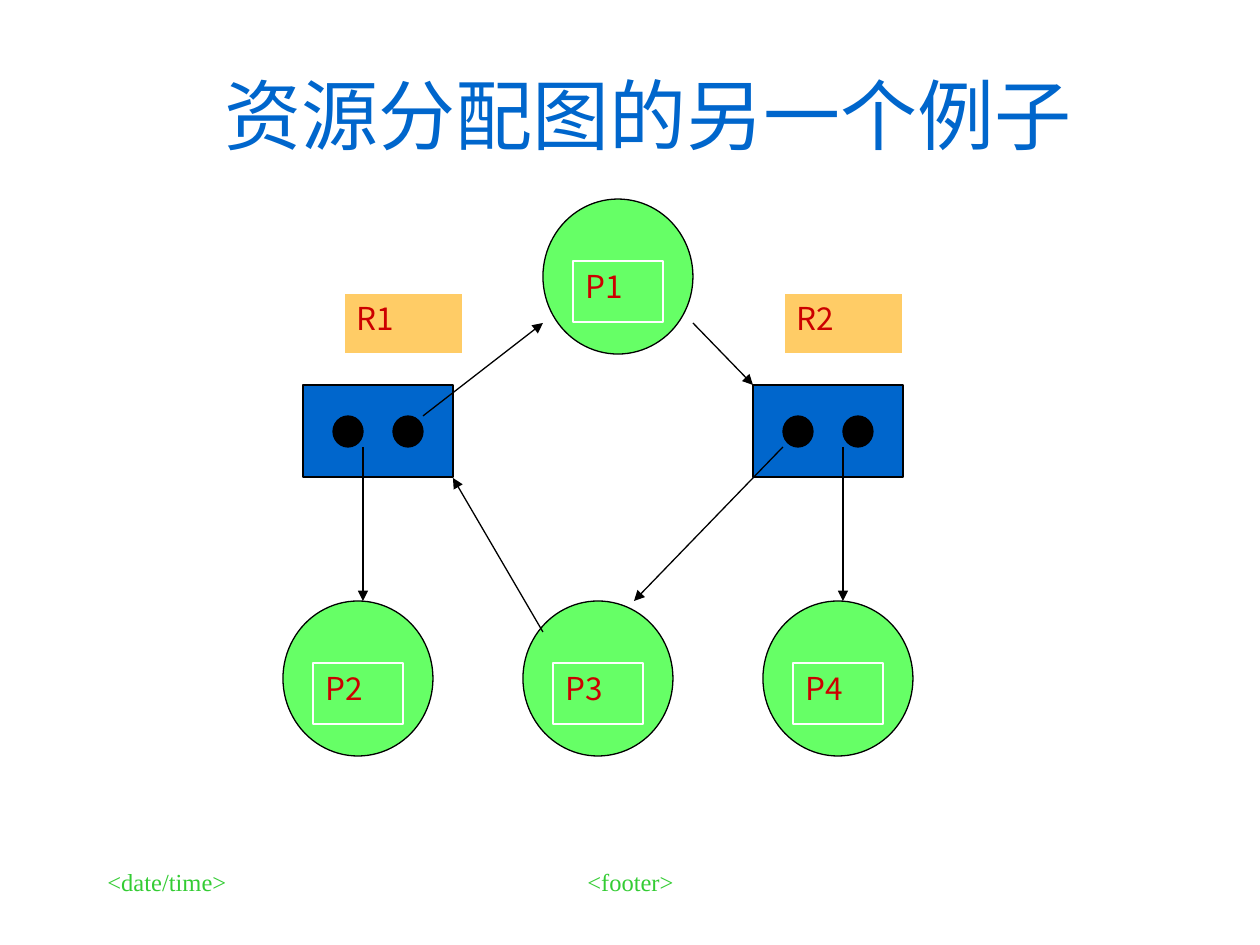
"""Build a slide with a resource allocation graph of four processes and two resources."""
import pptx
import pptx.util
import pptx.dml.color
import pptx.enum.shapes
import pptx.enum.text
import pptx.oxml.ns
from lxml import etree

PX = 914400 // 126
COLORS = {"blue": "0066CC", "green": "66FF66", "lime": "33CC33", "sand": "FFCC66",
          "red": "CC0000", "black": "000000", "white": "FFFFFF"}
SERIF, SANS = "Times New Roman", "Noto Sans CJK JP"

TITLE = ("资源分配图的另一个例子", (113, 35, 1071, 158))
FOOTERS = [("<date/time>", (95, 861, 262, 63), "LEFT"),
           ("<footer>", (431, 861, 399, 63), "CENTER")]
LABELS = [("R1", 344, 293), ("R2", 784, 293)]
NODES = [("P2", 283, 601), ("P3", 523, 601), ("P4", 763, 601), ("P1", 543, 199)]
BOXES = [(753, 385), (303, 385)]
ARROWS = [((423, 416), (543, 323)), ((693, 323), (753, 385)),
          ((843, 447), (843, 601)), ((783, 447), (634, 601)),
          ((543, 632), (453, 478)), ((363, 447), (363, 601))]

RECT = pptx.enum.shapes.MSO_SHAPE.RECTANGLE
OVAL = pptx.enum.shapes.MSO_SHAPE.OVAL


def rgb(name):
    return pptx.dml.color.RGBColor.from_string(COLORS[name])


def emu(nums):
    return [n * PX for n in nums]


def write(shape, text, size=18, font=SANS, color="red", align="LEFT", anchor="TOP"):
    frame = shape.text_frame
    frame.word_wrap = True
    frame.vertical_anchor = getattr(pptx.enum.text.MSO_ANCHOR, anchor)
    para = frame.paragraphs[0]
    para.alignment = getattr(pptx.enum.text.PP_ALIGN, align)
    run = para.add_run()
    run.text = text
    run.font.size = pptx.util.Pt(size)
    run.font.name = font
    run.font.color.rgb = rgb(color)
    east = etree.SubElement(run.font._element, pptx.oxml.ns.qn("a:ea"))
    east.set("typeface", SANS)


def draw(slide, kind, box, fill, line="black"):
    shape = slide.shapes.add_shape(kind, *emu(box))
    shape.shadow.inherit = False
    shape.fill.solid()
    shape.fill.fore_color.rgb = rgb(fill)
    shape.line.color.rgb = rgb(line)
    shape.line.width = pptx.util.Pt(0.75)
    return shape


def link(slide, start, end):
    kind = pptx.enum.shapes.MSO_CONNECTOR.STRAIGHT
    line = slide.shapes.add_connector(kind, *emu(start + end))
    line.line.color.rgb = rgb("black")
    line.line.width = pptx.util.Pt(0.75)
    tail = etree.SubElement(line.line._get_or_add_ln(), pptx.oxml.ns.qn("a:tailEnd"))
    tail.set("type", "triangle")
    etree.SubElement(line._element.spPr, pptx.oxml.ns.qn("a:effectLst"))


def main():
    deck = pptx.Presentation()
    deck.slide_width, deck.slide_height = emu((1260, 945))
    slide = deck.slides.add_slide(deck.slide_layouts[6])

    for text, box, align in FOOTERS:
        write(slide.shapes.add_textbox(*emu(box)), text, size=14, font=SERIF,
              color="lime", align=align)
    text, box = TITLE
    write(slide.shapes.add_textbox(*emu(box)), text, size=44, font=SERIF,
          color="blue", align="CENTER", anchor="MIDDLE")

    for text, x, y in LABELS:
        write(draw(slide, RECT, (x, y, 119, 61), "sand", "white"), text)
    for text, x, y in NODES:
        draw(slide, OVAL, (x, y, 150, 155), "green")
        write(draw(slide, RECT, (x + 30, y + 62, 90, 61), "green", "white"), text)
    for x, y in BOXES:
        draw(slide, RECT, (x, y, 150, 92), "blue")
        for step in (30, 90):
            draw(slide, OVAL, (x + step, y + 31, 30, 31), "black")
    for start, end in ARROWS:
        link(slide, start, end)

    deck.save("out.pptx")


if __name__ == "__main__":
    main()
